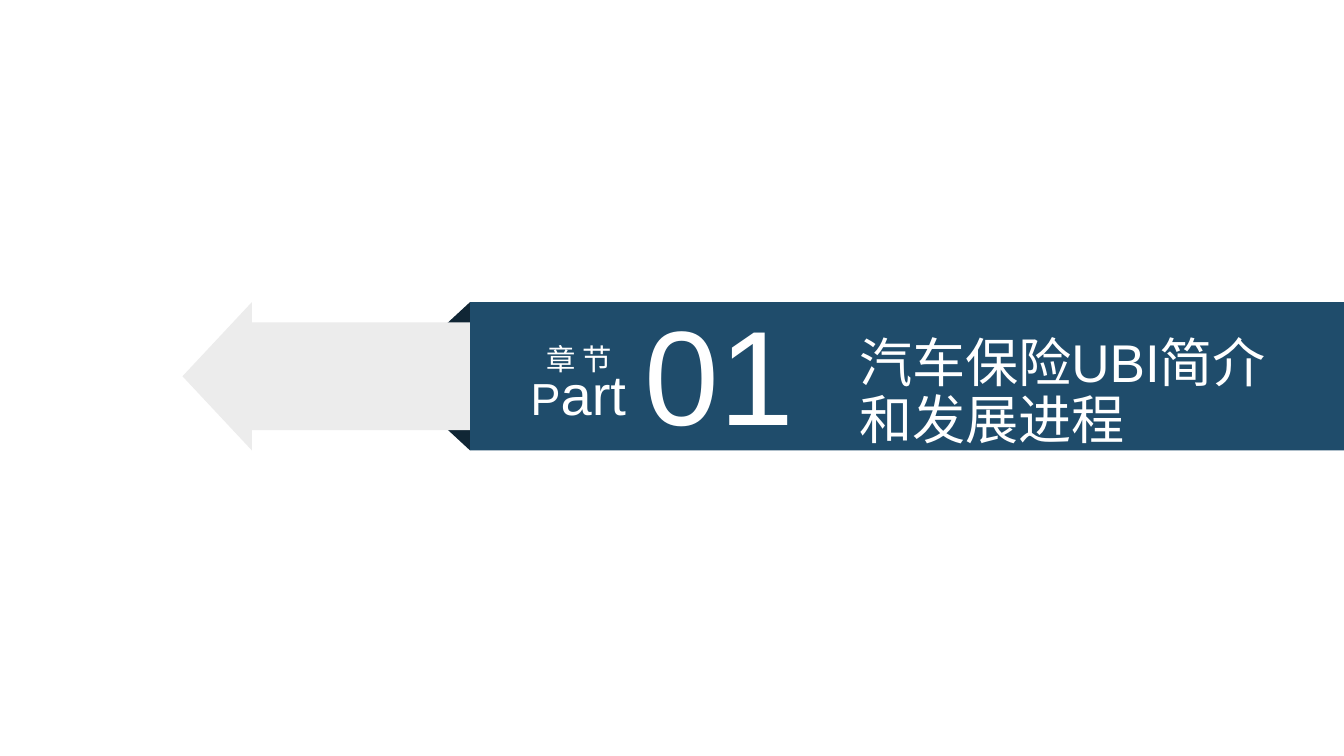
from pptx import Presentation
from pptx.dml.color import RGBColor
from pptx.enum.shapes import MSO_SHAPE
from pptx.enum.text import MSO_AUTO_SIZE, PP_ALIGN
from pptx.util import Cm, Pt

COLORS = {"band": "1F4C6B", "fold": "102635", "arrow": "ECECEC", "text": "FFFFFF"}
FONT = "Arial"
SLIDE_W, SLIDE_H = 35.71, 20.09


def add_block(s, kind, x, y, w, h, color):
    """Add a plain filled shape; lengths in cm."""
    sp = s.shapes.add_shape(kind, Cm(x), Cm(y), Cm(w), Cm(h))
    sp.shadow.inherit = False
    sp.fill.solid()
    sp.fill.fore_color.rgb = RGBColor.from_string(COLORS[color])
    sp.line.fill.background()
    return sp


def add_label(s, x, y, w, h, runs, wrap=False, align=PP_ALIGN.LEFT, spacing=None):
    """Add one paragraph of (text, size) runs without insets; lengths in cm."""
    tf = s.shapes.add_textbox(Cm(x), Cm(y), Cm(w), Cm(h)).text_frame
    tf.margin_left = tf.margin_right = tf.margin_top = tf.margin_bottom = 0
    tf.word_wrap = wrap
    tf.auto_size = MSO_AUTO_SIZE.SHAPE_TO_FIT_TEXT
    p = tf.paragraphs[0]
    p.alignment = align
    p.line_spacing = spacing
    p.font.name = FONT
    for text, size in runs:
        r = p.add_run()
        r.text = text
        r.font.name = FONT
        r.font.size = Pt(size)
        r.font.color.rgb = RGBColor.from_string(COLORS["text"])


def add_ribbon(s, x, y, w, h):
    """Band with an arrow coming out from behind its folded left edge."""
    # Folds at the lower and upper corners
    fold_w, fold_h = 0.66, 0.61
    for fold_y, flips in ((y + h - fold_h, ("flipH", "flipV")), (y, ("flipH",))):
        fold = add_block(s, MSO_SHAPE.RIGHT_TRIANGLE, x - fold_w, fold_y,
                         fold_w, fold_h, "fold")
        for flip in flips:
            fold._element.spPr.xfrm.set(flip, "1")

    # Arrow, partly covered by the band
    arrow = add_block(s, MSO_SHAPE.LEFT_ARROW, x - 7.64, y, 12.65, h, "arrow")
    arrow.adjustments[0] = 0.726
    arrow.adjustments[1] = 0.468

    # Band
    add_block(s, MSO_SHAPE.RECTANGLE, x, y, w, h, "band")


def add_heading(s, x, y):
    """Chapter label, number and title, placed from the band's corner."""
    add_label(s, x + 1.61, y + 1.52, 2.57, 1.8, [("P", 33.8), ("art", 42.2)])
    add_label(s, x + 1.99, y + 1.04, 1.8, 0.94, [("章 节", 22.1)],
              align=PP_ALIGN.CENTER)
    add_label(s, x + 4.63, y - 0.28, 4.01, 4.32, [("01", 101.2)])
    add_label(s, x + 10.34, y + 0.91, 11.02, 3.07,
              [("汽车保险UBI简介和发展进程", 40)], wrap=True, spacing=0.9)


def build_section_slide(prs):
    s = prs.slides.add_slide(prs.slide_layouts[6])
    band_x, band_y, band_h = 12.49, 8.03, 3.94
    add_ribbon(s, band_x, band_y, SLIDE_W - band_x, band_h)
    add_heading(s, band_x, band_y)


prs = Presentation()
prs.slide_width, prs.slide_height = Cm(SLIDE_W), Cm(SLIDE_H)
build_section_slide(prs)
prs.save("out.pptx")
